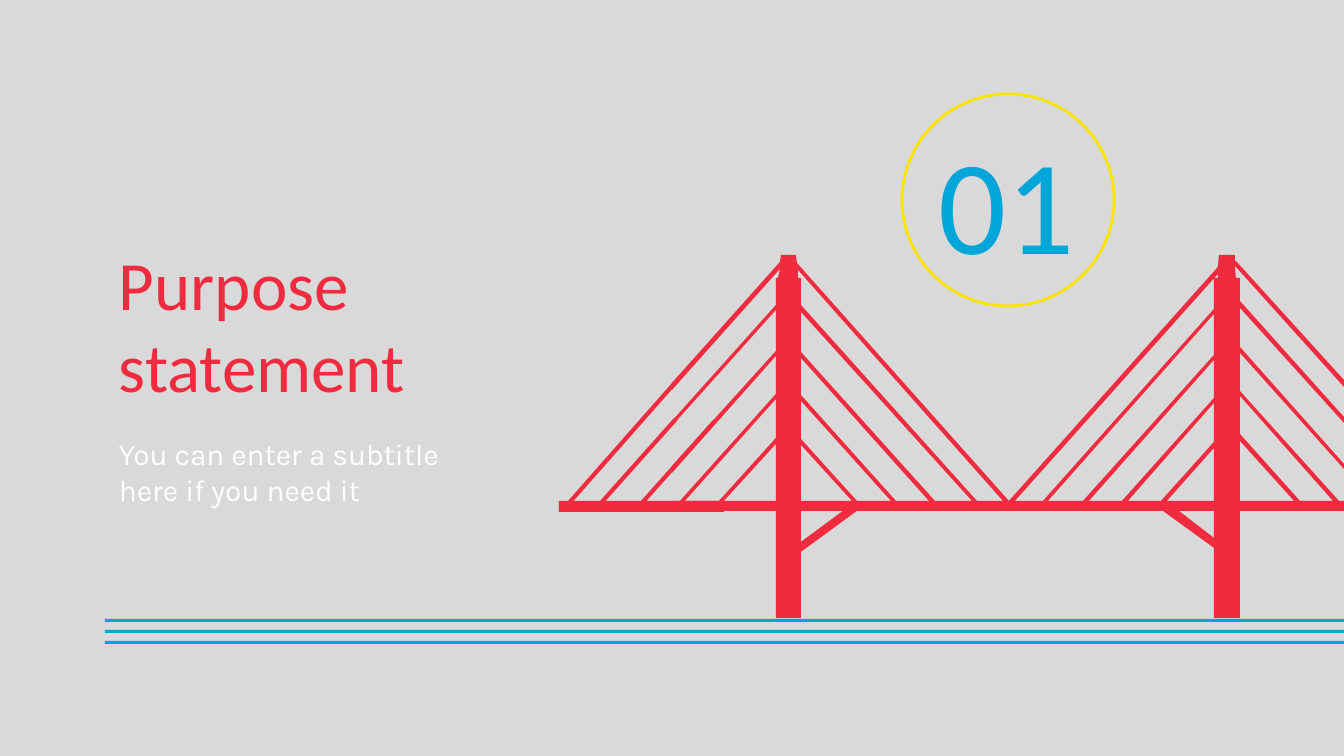
from dataclasses import dataclass

from lxml import etree
from pptx import Presentation
from pptx.dml.color import RGBColor
from pptx.enum.shapes import MSO_CONNECTOR, MSO_SHAPE
from pptx.enum.text import MSO_ANCHOR, PP_ALIGN
from pptx.oxml.ns import qn
from pptx.util import Pt

STRAIGHT = MSO_CONNECTOR.STRAIGHT
RECTANGLE, OVAL = MSO_SHAPE.RECTANGLE, MSO_SHAPE.OVAL
MIDDLE = MSO_ANCHOR.MIDDLE
LEFT, CENTER = PP_ALIGN.LEFT, PP_ALIGN.CENTER

EMU_PER_PX = 914400 / 134.4
SLIDE_WIDTH, SLIDE_HEIGHT = 1344, 756
INSET = 13


@dataclass(frozen=True)
class Theme:
    background: RGBColor = RGBColor(0xD9, 0xD9, 0xD9)
    red: RGBColor = RGBColor(0xF0, 0x2B, 0x3F)
    blue: RGBColor = RGBColor(0x00, 0xA6, 0xD8)
    yellow: RGBColor = RGBColor(0xF9, 0xE5, 0x00)
    white: RGBColor = RGBColor(0xFF, 0xFF, 0xFF)
    heading_font: str = "Calibri"
    body_font: str = "Karla"
    title_size: float = 37
    subtitle_size: float = 16
    number_size: float = 72
    ring_width: float = 1.5
    cable_width: float = 2.25


THEME = Theme()

# Tower edges and deck edges
LEFT_TOWER = (776, 801)
RIGHT_TOWER = (1214, 1240)
DECK_TOP, DECK_BOTTOM = 501, 511
SHOULDER, WATERLINE = 278, 618

# Gaps between two cables: tower edge, upper y, lower y, near x, far x on deck
CABLE_GAPS = [
    (776, 399, 438, 719, 685),
    (801, 401, 439, 857, 891),
    (801, 358, 395, 896, 929),
    (801, 312, 352, 935, 972),
    (1214, 403, 442, 1161, 1128),
    (1214, 360, 398, 1122, 1089),
    (1214, 314, 355, 1083, 1048),
    (1240, 396, 434, 1300, 1333),
]

# Gaps under the lowest cables: tower edge, upper y, far x on deck
CORNER_GAPS = [(776, 444, 724), (801, 445, 852),
               (1214, 448, 1167), (1240, 441, 1294)]

# Gaps that reach the tower heads, and gaps above the braces
OTHER_GAPS = [
    [(798, 270), (1003, DECK_TOP), (977, DECK_TOP), (801, 305),
     (801, SHOULDER), (798, SHOULDER)],
    [(1218, 274), (1218, SHOULDER), (1214, SHOULDER), (1214, 309),
     (1043, DECK_TOP), (1015, DECK_TOP)],
    [(1214, DECK_BOTTOM), (1214, 538), (1179, DECK_BOTTOM)],
    [(843, DECK_BOTTOM), (801, 542), (801, DECK_BOTTOM)],
]

# Outer cables: upper and lower y at the tower, then at the cut end
LEFT_CABLES = [(305, 310, 421, 426), (351, 356, 466, 473)]
RIGHT_CABLES = [(347, 353, 464, 469), (301, 308, 417, 423)]
LEFT_CUT = 672

EXTENDED_CABLES = [((715, 421), (641, 504)),
                   ((676, 419), (601, 503)),
                   ((681, 376), (569, 503))]


def px(length):
    return round(length * EMU_PER_PX)


def add_filled_rectangle(shapes, left, top, width, height, color):
    shape = shapes.add_shape(RECTANGLE, px(left), px(top), px(width), px(height))
    shape.shadow.inherit = False
    shape.fill.solid()
    shape.fill.fore_color.rgb = color
    shape.line.fill.background()


def add_ring(shapes, left, top, diameter):
    ring = shapes.add_shape(OVAL, px(left), px(top), px(diameter), px(diameter))
    ring.shadow.inherit = False
    ring.fill.background()
    ring.line.color.rgb = THEME.yellow
    ring.line.width = Pt(THEME.ring_width)


def add_text(shapes, text, box, font_name, size, color, alignment=LEFT):
    text_frame = shapes.add_textbox(*map(px, box)).text_frame
    text_frame.word_wrap = True
    text_frame.vertical_anchor = MIDDLE
    text_frame.margin_left = text_frame.margin_right = px(INSET)
    text_frame.margin_top = text_frame.margin_bottom = px(INSET)
    text_frame.text = text
    paragraph = text_frame.paragraphs[0]
    paragraph.alignment = alignment
    font = paragraph.runs[0].font
    font.name, font.size, font.color.rgb = font_name, Pt(size), color


def add_cable(shapes, start, end):
    cable = shapes.add_connector(STRAIGHT, *map(px, start + end))
    cable.line.color.rgb = THEME.red
    cable.line.width = Pt(THEME.cable_width)
    properties = cable._element.spPr
    etree.SubElement(properties, qn("a:effectLst"))


def add_freeform(shapes, contours, color):
    first, *others = contours
    builder = shapes.build_freeform(*first[0], scale=EMU_PER_PX)
    builder.add_line_segments(first[1:], close=True)
    for contour in others:
        builder.move_to(*contour[0])
        builder.add_line_segments(contour[1:], close=True)
    shape = builder.convert_to_shape()
    shape.shadow.inherit = False
    shape.fill.solid()
    shape.fill.fore_color.rgb = color
    shape.line.fill.background()


def bridge_outline():
    left, left_inner = LEFT_TOWER
    right_inner, right = RIGHT_TOWER
    points = [(781, 255), (780, 262), (LEFT_CUT, 383), (LEFT_CUT, 390),
              (780, 269), (778, SHOULDER), (left, SHOULDER)]
    for upper, lower, cut_upper, cut_lower in LEFT_CABLES:
        points += [(left, upper), (LEFT_CUT, cut_upper),
                   (LEFT_CUT, cut_lower), (left, lower)]
    # Deck, towers and braces
    points += [(left, 394), (680, DECK_TOP), (LEFT_CUT, DECK_TOP),
               (LEFT_CUT, DECK_BOTTOM), (left, DECK_BOTTOM),
               (left, WATERLINE), (left_inner, WATERLINE), (left_inner, 552),
               (857, DECK_BOTTOM), (1163, DECK_BOTTOM), (right_inner, 548),
               (right_inner, WATERLINE), (right, WATERLINE),
               (right, DECK_BOTTOM), (SLIDE_WIDTH, DECK_BOTTOM),
               (SLIDE_WIDTH, DECK_TOP), (1339, DECK_TOP), (right, 391)]
    for upper, lower, cut_upper, cut_lower in RIGHT_CABLES:
        points += [(right, lower), (SLIDE_WIDTH, cut_lower),
                   (SLIDE_WIDTH, cut_upper), (right, upper)]
    # Right tower head and the two cables that meet mid-span
    points += [(right, SHOULDER), (1236, SHOULDER), (1235, 266),
               (SLIDE_WIDTH, 387), (SLIDE_WIDTH, 380), (1236, 261),
               (1235, 262), (1235, 255), (1219, 255), (1218, 267),
               (1009, DECK_TOP), (797, 263), (796, 255)]
    return points


def add_bridge(shapes):
    bridge = shapes.add_group_shape().shapes
    gaps = [[(edge, upper), (edge, lower), (near, DECK_TOP), (far, DECK_TOP)]
            for edge, upper, lower, near, far in CABLE_GAPS]
    gaps += [[(edge, upper), (edge, DECK_TOP), (far, DECK_TOP)]
             for edge, upper, far in CORNER_GAPS]
    add_freeform(bridge, [bridge_outline(), *gaps, *OTHER_GAPS], THEME.red)
    add_filled_rectangle(bridge, 559, DECK_TOP, 165, 11, THEME.red)
    for start, end in EXTENDED_CABLES:
        add_cable(bridge, start, end)


def add_water(shapes):
    water = shapes.add_group_shape().shapes
    left = 105
    for row in range(3):
        add_filled_rectangle(water, left, 619 + 11 * row,
                             SLIDE_WIDTH - left, 3, THEME.blue)


def main():
    presentation = Presentation()
    presentation.slide_width = px(SLIDE_WIDTH)
    presentation.slide_height = px(SLIDE_HEIGHT)
    slide = presentation.slides.add_slide(presentation.slide_layouts[6])
    slide.background.fill.solid()
    slide.background.fill.fore_color.rgb = THEME.background
    shapes = slide.shapes

    # Section number, title and subtitle
    add_ring(shapes, 902, 94, 212)
    add_text(shapes, "Purpose statement", (106, 234, 423, 180),
             THEME.heading_font, THEME.title_size, THEME.red)
    add_text(shapes, "You can enter a subtitle here if you need it",
             (106, 423, 396, 98), THEME.body_font, THEME.subtitle_size, THEME.white)
    add_text(shapes, "01", (880, 128, 254, 145), THEME.heading_font,
             THEME.number_size, THEME.blue, CENTER)

    # Illustration
    add_bridge(shapes)
    add_water(shapes)
    presentation.save("out.pptx")


if __name__ == "__main__":
    main()
